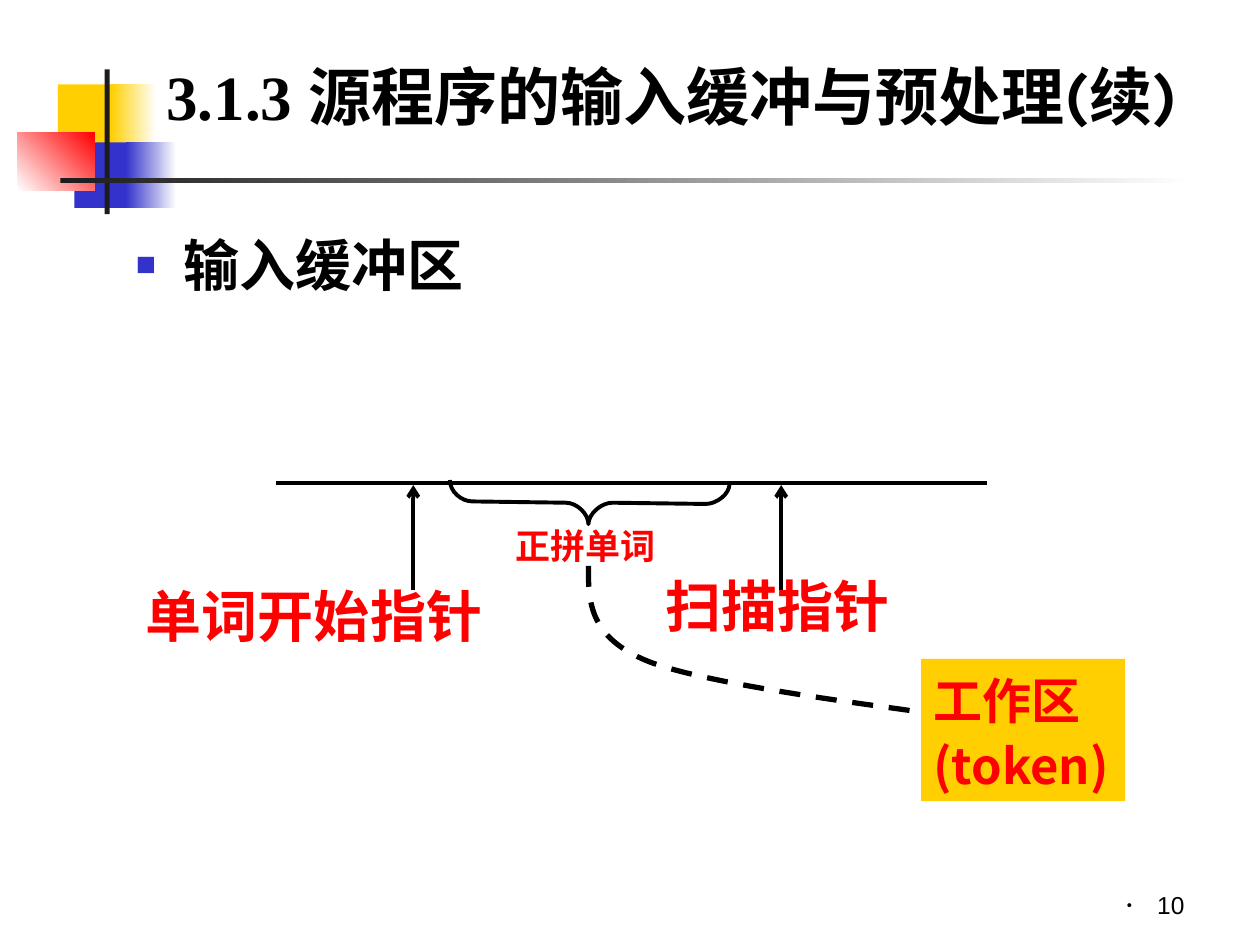
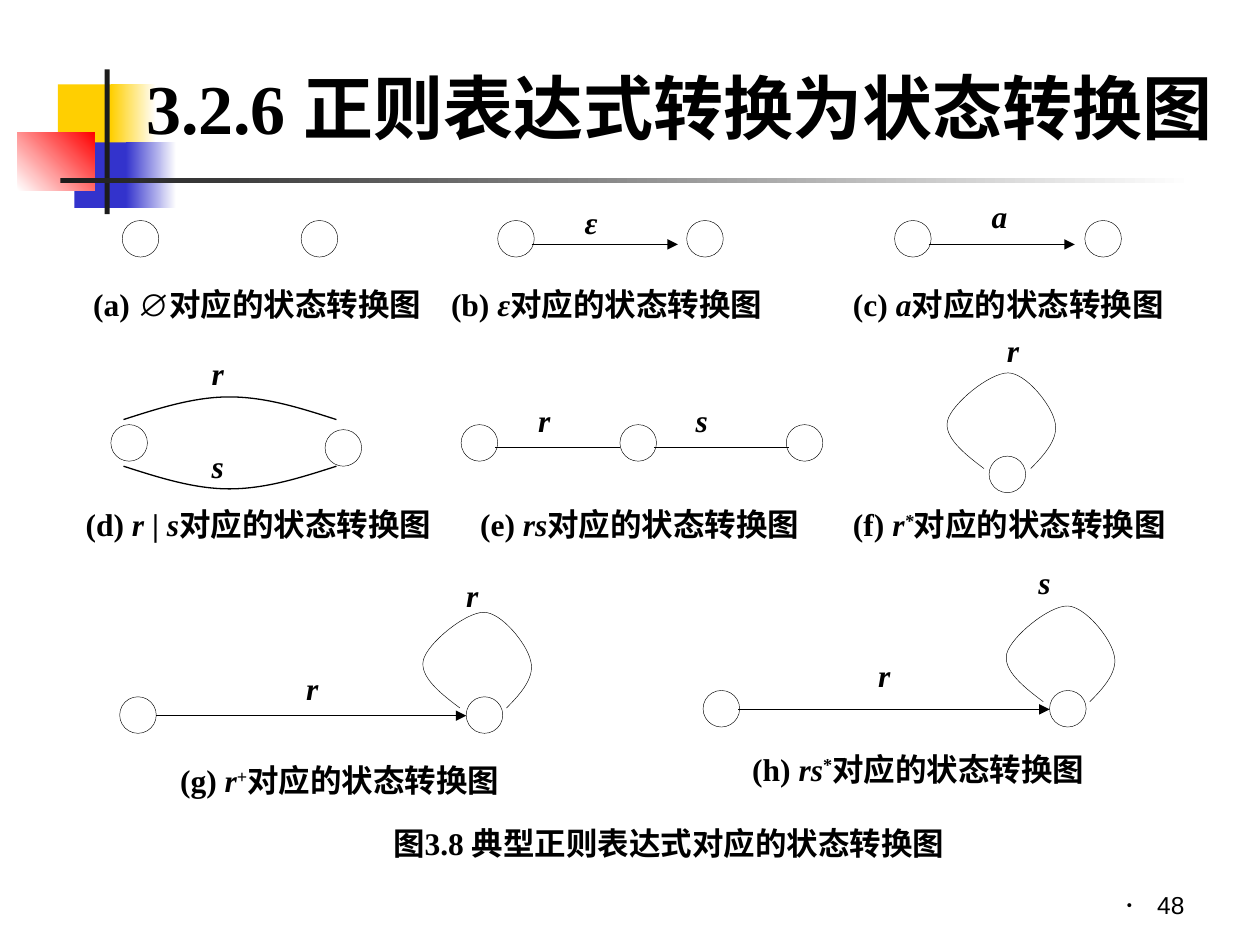
from lxml import etree
from pptx import Presentation
from pptx.dml.color import RGBColor
from pptx.enum.dml import MSO_LINE
from pptx.enum.shapes import MSO_CONNECTOR, MSO_SHAPE
from pptx.enum.text import MSO_ANCHOR, MSO_AUTO_SIZE, PP_ALIGN
from pptx.oxml.ns import qn
from pptx.util import Inches, Pt

BLACK = RGBColor(0x00, 0x00, 0x00)
WHITE = RGBColor(0xFF, 0xFF, 0xFF)
RED = RGBColor(0xFF, 0x00, 0x00)
YELLOW = RGBColor(0xFF, 0xCF, 0x01)
BLUE = RGBColor(0x33, 0x33, 0xCC)
CHARCOAL = RGBColor(0x1C, 0x1C, 0x1C)
SERIF = "Times New Roman"
SANS = "Karla"


def write_text(shape, runs, size=18, font=SERIF, color=BLACK, bold=True, inset=(0.1, 0.05),
               align=PP_ALIGN.LEFT, anchor=MSO_ANCHOR.TOP, wrap=True, spacing=None,
               bullet=None, bullet_color=BLACK, hanging=0):
    """Fill a shape with one paragraph; runs is a string or (text, format) pairs."""
    frame = shape.text_frame
    frame.word_wrap = wrap
    frame.auto_size = MSO_AUTO_SIZE.NONE
    frame.vertical_anchor = anchor
    frame.margin_left = frame.margin_right = Inches(inset[0])
    frame.margin_top = frame.margin_bottom = Inches(inset[1])
    para = frame.paragraphs[0]
    para.alignment = align
    if spacing:
        para.line_spacing = spacing
    if bullet:
        props = para._p.get_or_add_pPr()
        props.set("marL", str(Inches(hanging)))
        props.set("indent", str(-Inches(hanging)))
        tint = etree.SubElement(props, qn("a:buClr"))
        etree.SubElement(tint, qn("a:srgbClr"), val=str(bullet_color))
        etree.SubElement(props, qn("a:buSzPct"), val="60000")
        etree.SubElement(props, qn("a:buFont"), typeface="Arial")
        etree.SubElement(props, qn("a:buChar"), char=bullet)
    for text, style in [(runs, "")] if isinstance(runs, str) else runs:
        span = para.add_run()
        span.text = text
        span.font.size = Pt(size)
        span.font.bold = bold
        span.font.italic = "italic" in style
        span.font.color.rgb = color
        face = next((name for name in (SANS, "Arial") if name in style), font)
        span.font.name = face
        # Chinese characters next to serif letters are set in the sans face
        etree.SubElement(span._r.get_or_add_rPr(), qn("a:ea"),
                         typeface=SANS if face == SERIF else face)
        if "raised" in style:
            span._r.get_or_add_rPr().set("baseline", "30000")


def draw_curve(page, start, segments, width, dash=None):
    """Draw an open outline; a segment has one point (line) or three (cubic curve)."""
    units = [(round(x * 1000), round(y * 1000)) for x, y in [start, *sum(segments, ())]]
    builder = page.shapes.build_freeform(*units[0], scale=Inches(1) / 1000)
    builder.add_line_segments(units[1:], close=False)
    curve = builder.convert_to_shape()
    # Turn each group of three steps into one cubic curve
    steps = iter(curve._element.findall(".//" + qn("a:lnTo")))
    for segment in segments:
        first = next(steps)
        if len(segment) == 3:
            first.tag = qn("a:cubicBezTo")
            for step in (next(steps), next(steps)):
                first.append(step[0])
                step.getparent().remove(step)
    curve.shadow.inherit = False
    curve.fill.background()
    curve.line.color.rgb = BLACK
    curve.line.width = Pt(width)
    if dash:
        curve.line.dash_style = dash


deck = Presentation()
deck.slide_width, deck.slide_height = Inches(10), Inches(7.5)

# Shared frame: left, top, width, height, colours from start to end, angle
DECORATION = [
    (0.46, 0.67, 0.48, 0.52, YELLOW, None, 0),
    (0.88, 0.67, 0.36, 0.52, YELLOW, WHITE, 0),
    (0.59, 1.13, 0.46, 0.52, BLUE, None, 0),
    (1.0, 1.13, 0.4, 0.52, BLUE, WHITE, 0),
    (0.14, 1.05, 0.61, 0.46, WHITE, RED, 45),
    (0.83, 0.55, 0.04, 1.15, CHARCOAL, None, 0),
    (0.48, 1.41, 9, 0.04, CHARCOAL, WHITE, 0),
]
PAGES = [
    ([("3.1.3 ", ""), ("源程序的输入缓冲与预处理(续)", SANS)],
     36, (1.22, 0.28, 8.66, 0.96), "10"),
    ("3.2.6 正则表达式转换为状态转换图", 40, (1.06, 0.46, 8.9, 0.77), "48"),
]
for heading, size, place, number in PAGES:
    page = deck.slides.add_slide(deck.slide_layouts[5])
    for left, top, width, height, first, last, angle in DECORATION:
        block = page.shapes.add_shape(MSO_SHAPE.RECTANGLE, Inches(left), Inches(top),
                                      Inches(width), Inches(height))
        block.shadow.inherit = False
        block.line.fill.background()
        if last is None:
            block.fill.solid()
            block.fill.fore_color.rgb = first
        else:
            block.fill.gradient()
            block.fill.gradient_angle = angle
            for stop, color in zip(block.fill.gradient_stops, (first, last)):
                stop.color.rgb = color
    title = page.shapes.title
    title.left, title.top, title.width, title.height = map(Inches, place)
    write_text(title, heading, size=size, anchor=MSO_ANCHOR.MIDDLE)
    # Bring the title in front of the decoration
    page.shapes._spTree.append(title._element)
    footer = page.shapes.add_textbox(Inches(7.17), Inches(6.83), Inches(2.33), Inches(0.52))
    write_text(footer, number, size=14, font="Arial", bold=False, align=PP_ALIGN.RIGHT,
               anchor=MSO_ANCHOR.BOTTOM, bullet="•", hanging=0.24)

buffer_page, diagram_page = deck.slides

# Input buffer: bullet, work area and pointer labels
topic = buffer_page.shapes.add_textbox(Inches(0.98), Inches(1.78), Inches(8.81), Inches(1.6))
write_text(topic, "输入缓冲区", size=32, font=SANS, bullet="■", bullet_color=BLUE,
           hanging=0.38)

work_area = buffer_page.shapes.add_shape(MSO_SHAPE.RECTANGLE, Inches(7.31), Inches(5.23),
                                         Inches(1.62), Inches(1.13))
work_area.shadow.inherit = False
work_area.fill.solid()
work_area.fill.fore_color.rgb = YELLOW
work_area.line.fill.background()
write_text(work_area, "工作区(token)", size=28, font="Noto Sans CJK SC", color=RED, spacing=1.1)

for text, left, top, width, height, size in [
    ("单词开始指针", 1.06, 4.51, 2.95, 0.69, 32),
    ("扫描指针", 5.18, 4.43, 1.99, 0.69, 32),
    ("正拼单词", 3.99, 4.08, 1.51, 0.47, 20),
]:
    box = buffer_page.shapes.add_textbox(Inches(left), Inches(top), Inches(width), Inches(height))
    write_text(box, text, size=size, color=RED, spacing=1.1)

# Input buffer: brace under the current word and dashed path to the work area
draw_curve(buffer_page, (3.57, 3.81), [
    ((3.57, 3.9), (3.66, 3.98), (3.75, 3.98)), ((4.49, 3.99),),
    ((4.58, 3.99), (4.67, 4.08), (4.67, 4.16)),
    ((4.67, 4.08), (4.77, 3.99), (4.86, 3.99)), ((5.6, 4.0),),
    ((5.69, 4.0), (5.79, 3.92), (5.79, 3.84))], 2.25)
draw_curve(buffer_page, (4.67, 4.49), [
    ((4.67, 4.76), (4.67, 5.04), (5.1, 5.23)),
    ((5.52, 5.42), (6.89, 5.59), (7.23, 5.64))], 3, dash=MSO_LINE.DASH)

# State diagrams: circles
STATES = [
    (0.97, 1.75), (2.39, 1.75), (3.95, 1.75), (5.45, 1.75), (7.1, 1.75), (8.61, 1.75),
    (0.88, 3.37), (2.58, 3.41), (3.66, 3.37), (4.92, 3.37), (6.24, 3.37), (7.85, 3.62),
    (0.95, 5.53), (3.7, 5.53), (5.58, 5.48), (8.33, 5.48),
]
for left, top in STATES:
    state = diagram_page.shapes.add_shape(MSO_SHAPE.OVAL, Inches(left), Inches(top),
                                          Inches(0.29), Inches(0.29))
    state.shadow.inherit = False
    state.fill.background()
    state.line.color.rgb = BLACK
    state.line.width = Pt(0.25)

# State diagrams: self loops, then the two arcs of r | s
for left, top in [(7.49, 2.96), (3.33, 4.86), (7.96, 4.81)]:
    loop = [tuple((left + x, top + y) for x, y in segment) for segment in [
        ((0.16, 0.64), (0, 0.51), (0.03, 0.38)), ((0.06, 0.25), (0.36, 0), (0.51, 0)),
        ((0.65, 0), (0.85, 0.25), (0.88, 0.38)), ((0.92, 0.51), (0.81, 0.64), (0.69, 0.76))]]
    draw_curve(diagram_page, (left + 0.32, top + 0.76), loop, 0.25)
for end, rise in [(3.33, -0.09), (3.7, 0.09)]:
    draw_curve(diagram_page, (0.98, end), [
        ((1.26, end + rise), (1.54, end + 2 * rise), (1.82, end + 2 * rise)),
        ((2.11, end + 2 * rise), (2.39, end + rise), (2.67, end))], 0.75)

# State diagrams: plain edges of rs
for left, right in [(3.93, 4.92), (5.19, 6.26)]:
    third = (right - left) / 3
    draw_curve(diagram_page, (left, 3.55), [
        ((left + third, 3.55), (right - third, 3.55), (right, 3.55))], 0.25)

# Straight lines and arrows of both pages
for page, start, end, width, head in [
    (buffer_page, (2.19, 3.83), (7.83, 3.83), 2.25, None),
    (buffer_page, (3.28, 4.68), (3.28, 3.85), 2.25, "arrow"),
    (buffer_page, (6.2, 4.68), (6.2, 3.85), 2.25, "arrow"),
    (diagram_page, (4.22, 1.94), (5.38, 1.94), 0.25, "triangle"),
    (diagram_page, (7.37, 1.94), (8.53, 1.94), 0.25, "triangle"),
    (diagram_page, (1.24, 5.68), (3.7, 5.68), 0.25, "triangle"),
    (diagram_page, (5.86, 5.63), (8.33, 5.63), 0.25, "triangle"),
]:
    line = page.shapes.add_connector(MSO_CONNECTOR.STRAIGHT, *map(Inches, start + end))
    line.line.color.rgb = BLACK
    line.line.width = Pt(width)
    if head:
        etree.SubElement(line.line._get_or_add_ln(), qn("a:tailEnd"), type=head)
    etree.SubElement(line._element.spPr, qn("a:effectLst"))

# State diagrams: edge labels
for letter, left, top in [
    ("ε", 4.57, 1.58), ("a", 7.8, 1.53), ("r", 1.61, 2.78), ("s", 1.61, 3.52),
    ("r", 4.2, 3.15), ("s", 5.45, 3.15), ("r", 7.92, 2.6), ("r", 3.63, 4.54),
    ("r", 2.36, 5.28), ("s", 8.17, 4.44), ("r", 6.9, 5.18),
]:
    label = diagram_page.shapes.add_textbox(Inches(left), Inches(top), Inches(0.45), Inches(0.55))
    write_text(label, [(letter, "italic")], inset=(0.07, 0.03))

# State diagrams: captions
MEANING = ("对应的状态转换图", "")
for left, top, width, runs in [
    (0.67, 2.23, 2.8, [("(a) ", ""), ("∅", "Arial"), MEANING]),
    (3.51, 2.23, 2.66, [("(b) ", ""), ("ε", "italic"), MEANING]),
    (6.7, 2.23, 2.66, [("(c) ", ""), ("a", "italic"), MEANING]),
    (0.61, 3.98, 2.94, [("(d)", ""), (" r", "italic"), (" | ", ""), ("s", "italic"), MEANING]),
    (3.74, 3.98, 2.72, [("(e) ", ""), ("rs", "italic"), MEANING]),
    (6.7, 3.98, 2.67, [("(f) ", ""), ("r", "italic"), ("*", "italic raised"), MEANING]),
    (1.36, 6.01, 2.73, [("(g) ", ""), ("r", "italic"), ("+", "raised"), MEANING]),
    (5.9, 5.92, 2.83, [("(h)", ""), (" rs", "italic"), ("*", "raised"), MEANING]),
    (3.05, 6.51, 4.63, "图3.8 典型正则表达式对应的状态转换图"),
]:
    caption = diagram_page.shapes.add_textbox(Inches(left), Inches(top), Inches(width), Inches(0.39))
    write_text(caption, runs, inset=(0.07, 0.03), wrap=False)

deck.save("out.pptx")
